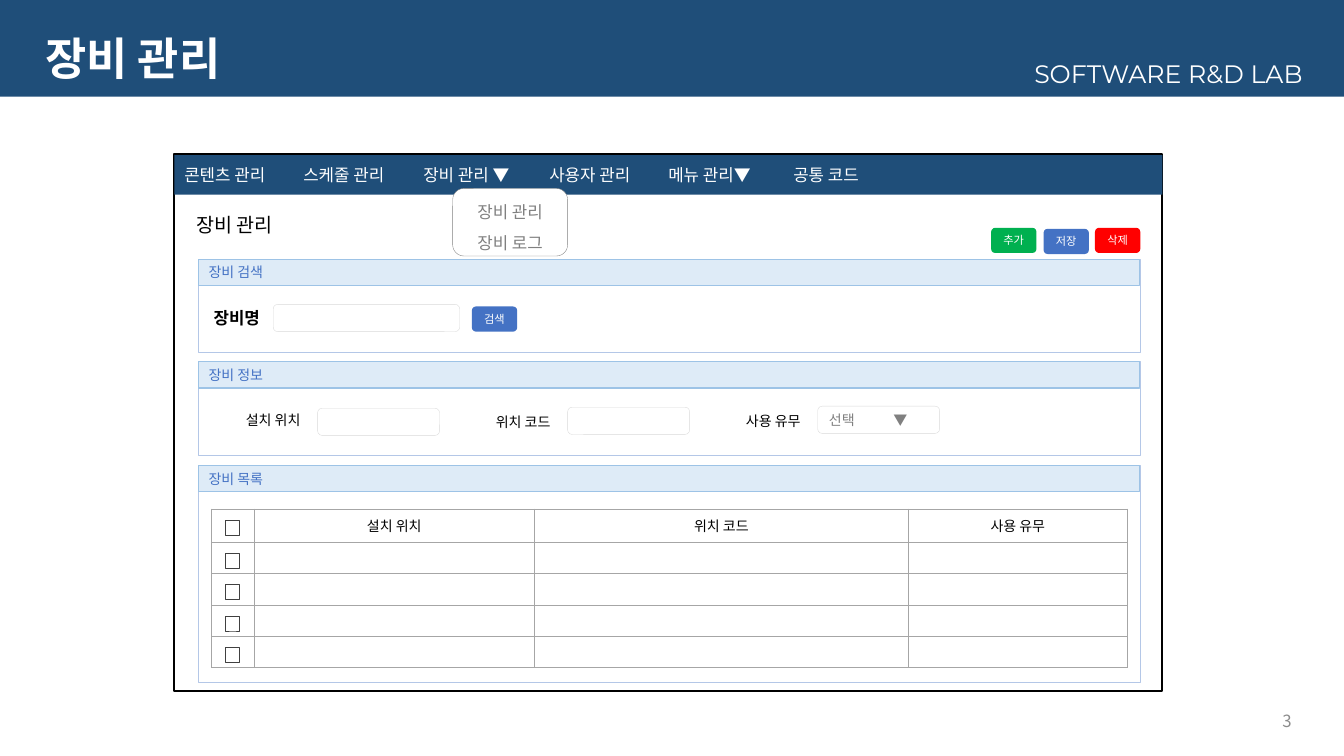
"""Build the device management wireframe slide."""
from lxml.etree import SubElement
from pptx import Presentation
from pptx.dml.color import RGBColor
from pptx.enum.shapes import MSO_SHAPE
from pptx.enum.text import MSO_ANCHOR, PP_ALIGN
from pptx.oxml.ns import qn
from pptx.util import Inches, Pt

KOREAN = "Noto Sans CJK KR"
NAVY, BLUE, WHITE, BLACK, GRAY = "1F4E79", "4472C4", "FFFFFF", "000000", "808080"
LEFT, CENTER, RIGHT = PP_ALIGN.LEFT, PP_ALIGN.CENTER, PP_ALIGN.RIGHT

deck = Presentation()
deck.slide_width, deck.slide_height = Inches(13.33), Inches(7.5)
page = deck.slides.add_slide(deck.slide_layouts[6])


def draw(place, fill=None, line=None, width=0.75, kind=MSO_SHAPE.RECTANGLE):
    box = page.shapes.add_shape(kind, *map(Inches, place))
    box.shadow.inherit = False
    if fill:
        box.fill.solid()
        box.fill.fore_color.rgb = RGBColor.from_string(fill)
    else:
        box.fill.background()
    if line:
        box.line.color.rgb = RGBColor.from_string(line)
        box.line.width = Pt(width)
    else:
        box.line.fill.background()
    return box


def write(frame, text, size, color, align=LEFT, bold=False, font=KOREAN,
          anchor=MSO_ANCHOR.MIDDLE, wrap=True, spacing=None, tabs=()):
    frame.word_wrap = wrap
    frame.vertical_anchor = anchor
    for index, words in enumerate(text.split("\n")):
        para = frame.add_paragraph() if index else frame.paragraphs[0]
        para.alignment = align
        para.line_spacing = spacing
        if tabs:
            stops = SubElement(para._p.get_or_add_pPr(), qn("a:tabLst"))
            for stop in tabs:
                SubElement(stops, qn("a:tab"), pos=str(Inches(stop)), algn="l")
        span = para.add_run()
        span.text = words
        span.font.size = Pt(size)
        span.font.bold = bold
        span.font.color.rgb = RGBColor.from_string(color)
        span.font.name = font
        SubElement(span._r.get_or_add_rPr(), qn("a:ea"), typeface=font)


draw((0, 0, 13.33, 0.96), NAVY)
lab = page.shapes.add_textbox(*map(Inches, (10.16, 0.53, 3.16, 0.4)))
write(lab.text_frame, "SOFTWARE R&D LAB", 18, WHITE, font="Montserrat", anchor=MSO_ANCHOR.TOP)
title = page.shapes.add_textbox(*map(Inches, (0.35, 0.26, 11.5, 0.69)))
write(title.text_frame, "장비 관리", 32, WHITE, bold=True, spacing=0.9)
number = page.shapes.add_textbox(*map(Inches, (9.91, 6.95, 3, 0.4)))
write(number.text_frame, "3", 12, "8C8C8C", RIGHT)

draw((1.73, 1.53, 9.8, 5.33), line=BLACK, width=1.5)
menu = draw((1.73, 1.54, 9.8, 0.39), NAVY)
write(menu.text_frame, "콘텐츠 관리\t스케줄 관리\t장비 관리 ▼\t사용자 관리\t메뉴 관리▼\t공통 코드",
      12, WHITE, tabs=(1.18, 2.37, 3.62, 4.8, 6.04))

for heading, top, height in (("장비 검색", 2.57, 0.93), ("장비 정보", 3.59, 0.93),
                             ("장비 목록", 4.62, 2.15)):
    draw((1.97, top, 9.34, height), WHITE, "B4C7E7")
    band = draw((1.97, top, 9.33, 0.26), "DEEBF7", "9DC3E6")
    write(band.text_frame, heading, 10, BLUE)

for words, place, size, bold in (
        ("장비 관리", (1.85, 2.06, 1.06, 0.34), 14, False),
        ("장비명", (2.02, 3, 0.71, 0.3), 12, True),
        ("설치 위치", (2.34, 4.03, 0.81, 0.27), 10, False),
        ("위치 코드", (4.82, 4.05, 0.81, 0.27), 10, False),
        ("사용 유무", (7.3, 4.04, 0.81, 0.27), 10, False)):
    label = page.shapes.add_textbox(*map(Inches, place))
    write(label.text_frame, words, size, BLACK, bold=bold, anchor=MSO_ANCHOR.TOP, wrap=False)

for left, top, width in ((2.71, 3.02, 1.85), (3.15, 4.05, 1.21), (5.63, 4.04, 1.21),
                         (8.11, 4.03, 1.21)):
    field = draw((left, top, width, 0.27), WHITE, "D9D9D9", 0.25, MSO_SHAPE.ROUNDED_RECTANGLE)
write(field.text_frame, "선택\t▼", 10, GRAY, tabs=(0.64,))

for words, left, top, color in (("검색", 4.68, 3.04, BLUE), ("추가", 9.83, 2.26, "00B050"),
                                ("저장", 10.35, 2.27, BLUE), ("삭제", 10.86, 2.26, "FF0000")):
    button = draw((left, top, 0.45, 0.25), color, kind=MSO_SHAPE.ROUNDED_RECTANGLE)
    write(button.text_frame, words, 8, WHITE, CENTER)

columns = (("", 0.42), ("설치 위치", 2.78), ("위치 코드", 3.71), ("사용 유무", 2.17))
row_heights = (0.33, 0.31, 0.32, 0.3, 0.31)
devices = page.shapes.add_table(len(row_heights), len(columns),
                                *map(Inches, (2.1, 5.05, 9.08, 1.57))).table
devices.first_row = devices.horz_banding = False
for column, (heading, width) in zip(devices.columns, columns):
    column.width = Inches(width)
for row, height in zip(devices.rows, row_heights):
    row.height = Inches(height)
for cell in devices.iter_cells():
    cell.margin_top = cell.margin_bottom = Inches(0.02)
    properties = cell._tc.get_or_add_tcPr()
    for side in ("a:lnL", "a:lnR", "a:lnT", "a:lnB"):
        border = SubElement(properties, qn(side), w=str(Pt(0.5)))
        paint = SubElement(border, qn("a:solidFill"))
        SubElement(paint, qn("a:srgbClr"), val="A6A6A6")
    cell.fill.background()
for index, (heading, width) in enumerate(columns):
    if heading:
        cell = devices.cell(0, index)
        cell.vertical_anchor = MSO_ANCHOR.MIDDLE
        write(cell.text_frame, heading, 10, BLACK, CENTER)
for cell in devices.iter_cells():
    if not cell.text:
        SubElement(cell.text_frame.paragraphs[0]._p, qn("a:endParaRPr"), sz="1000")

for index in range(len(row_heights)):
    draw((2.24, 5.16 + sum(row_heights[:index]), 0.14, 0.15), line="404040")

dropdown = draw((4.49, 1.87, 1.14, 0.67), WHITE, GRAY, 0.25, MSO_SHAPE.ROUNDED_RECTANGLE)
write(dropdown.text_frame, "장비 관리\n장비 로그", 12, GRAY, CENTER, spacing=1.5)

deck.save("out.pptx")
